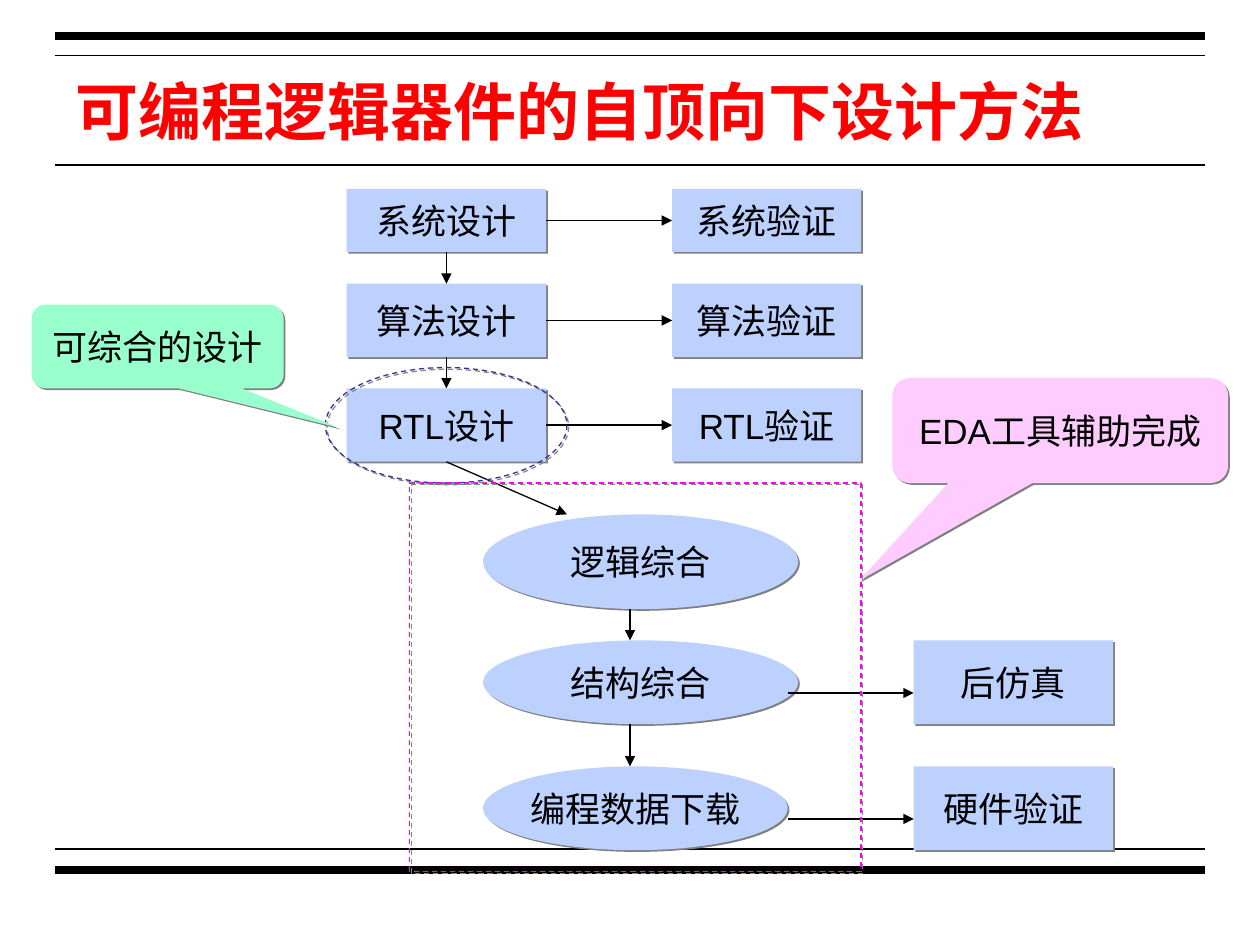
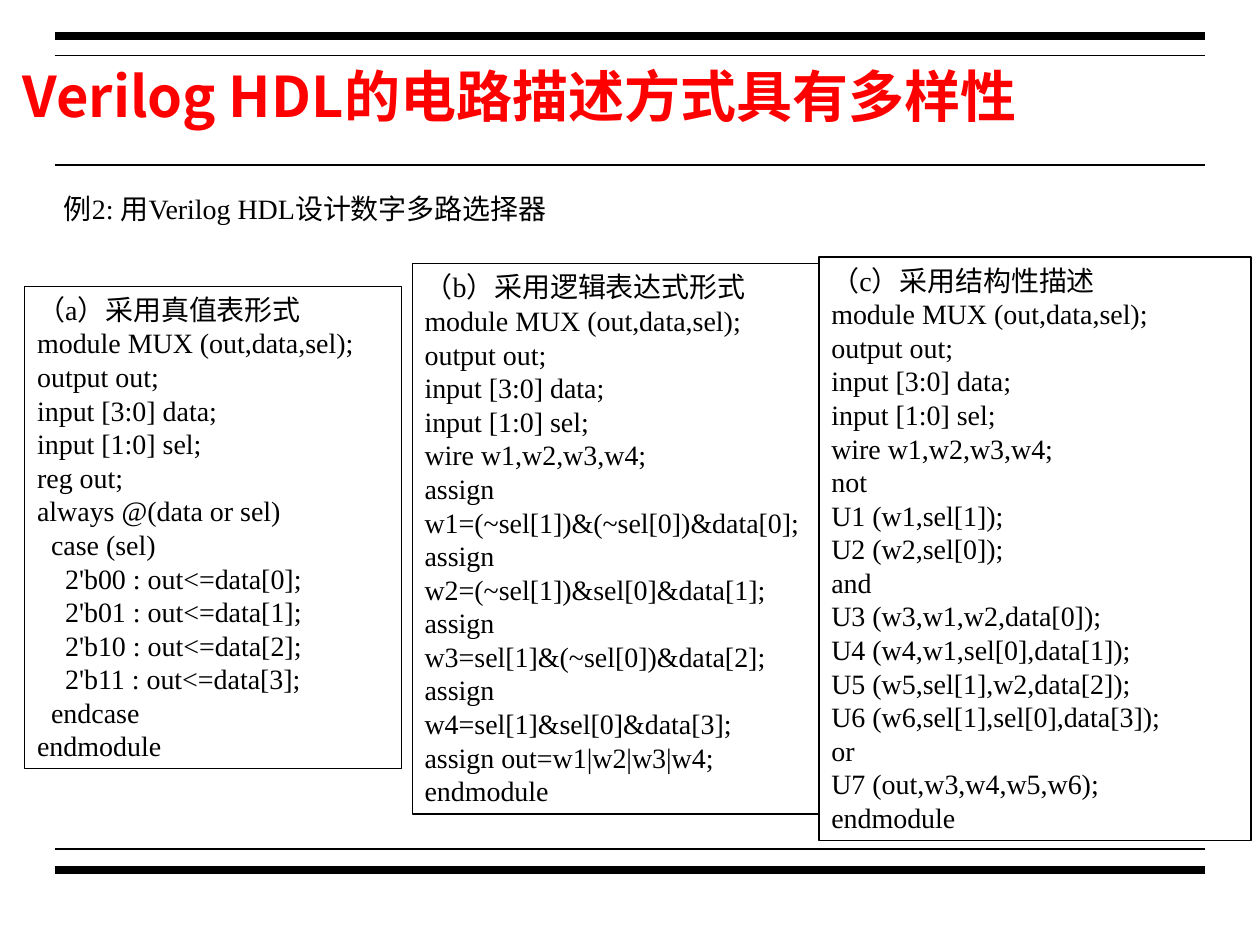
from dataclasses import dataclass

from lxml import etree
from pptx import Presentation
from pptx.dml.color import RGBColor
from pptx.enum.dml import MSO_LINE
from pptx.enum.lang import MSO_LANGUAGE_ID
from pptx.enum.shapes import MSO_CONNECTOR, MSO_SHAPE
from pptx.enum.text import MSO_ANCHOR, MSO_AUTO_SIZE, PP_ALIGN
from pptx.oxml.ns import qn
from pptx.util import Cm, Pt

RECT, OVAL = MSO_SHAPE.RECTANGLE, MSO_SHAPE.OVAL
CALL = MSO_SHAPE.ROUNDED_RECTANGULAR_CALLOUT
STRAIGHT, DASH = MSO_CONNECTOR.STRAIGHT, MSO_LINE.DASH
LEFT, MID = PP_ALIGN.LEFT, PP_ALIGN.CENTER
MIDDLE, FIXED = MSO_ANCHOR.MIDDLE, MSO_AUTO_SIZE.NONE
CHINESE = MSO_LANGUAGE_ID.SIMPLIFIED_CHINESE
TOP, SIDE, FOOT, END = range(4)  # connection sites of a rectangle


@dataclass(frozen=True)
class Theme:
    ink: str = "000000"
    title: str = "FF0000"
    box: str = "BDD1FF"
    pink: str = "FFCCFF"
    mint: str = "99FFCC"
    frame: str = "FF00FF"
    ring: str = "333399"
    shade: str = "808080"
    pale: str = "868686"
    sans: str = "Arial"
    serif: str = "Times New Roman"
    han: str = "Noto Sans CJK JP"
    head: float = 36
    sub: float = 32
    label: float = 20
    code: float = 16
    lead: float = 19.2
    thin: float = 0.75
    rule: float = 1
    band: float = 4.5


def rgb(code):
    return RGBColor.from_string(code)


def write(frame, text, *, size, font, color=Theme.ink, bold=False,
          align=LEFT, wrap=True, lead=None):
    """Fill a text frame, one paragraph for each line of text."""
    frame.auto_size = FIXED
    frame.word_wrap = wrap
    frame.vertical_anchor = MIDDLE
    for i, row in enumerate(text.split("\n")):
        para = frame.add_paragraph() if i else frame.paragraphs[0]
        para.alignment = align
        if lead:
            para.line_spacing = Pt(lead)
        run = para.add_run()
        run.text = row
        face = run.font
        face.size, face.name, face.bold = Pt(size), font, bold
        face.color.rgb = rgb(color)
        face.language_id = CHINESE
        east = etree.SubElement(run._r.get_or_add_rPr(), qn("a:ea"))
        east.set("typeface", Theme.han)


class Deck:
    def __init__(self, look):
        self.look = look
        self.file = Presentation()
        self.file.slide_width, self.file.slide_height = Cm(25.4), Cm(19.05)
        self.slide = None

    def page(self, title, area, size, font):
        """Start a slide with its bands and title."""
        self.slide = self.file.slides.add_slide(self.file.slide_layouts[5])
        look = self.look
        for y, width in ((0.72, look.band), (1.12, look.rule), (3.33, look.rule),
                         (17.53, look.band), (17.12, look.rule)):
            self.line((1.1, y), (24.3, y), width=width)
        head = self.slide.shapes.title
        head.left, head.top, head.width, head.height = map(Cm, area)
        write(head.text_frame, title, size=size, font=font,
              color=look.title, bold=True)

    def line(self, start, stop, width=Theme.thin, arrow=False):
        link = self.slide.shapes.add_connector(
            STRAIGHT, *map(Cm, start), *map(Cm, stop))
        link.line.color.rgb = rgb(self.look.ink)
        link.line.width = Pt(width)
        props = link._element.spPr
        if arrow:
            tip = etree.SubElement(props.find(qn("a:ln")), qn("a:tailEnd"))
            tip.set("type", "triangle")
        etree.SubElement(props, qn("a:effectLst"))
        return link

    def join(self, one, out, two, into):
        """Draw an arrow from a side of one box to a side of another."""
        link = self.line((0, 0), (1, 1), arrow=True)
        link.begin_connect(one, out)
        link.end_connect(two, into)

    def shape(self, kind, area, fill=None, line=None, dash=None, shade=None):
        item = self.slide.shapes.add_shape(kind, *map(Cm, area))
        item.shadow.inherit = False
        if fill:
            item.fill.solid()
            item.fill.fore_color.rgb = rgb(fill)
        else:
            item.fill.background()
        if line:
            item.line.color.rgb = rgb(line)
            item.line.width = Pt(self.look.thin)
            item.line.dash_style = dash
        else:
            item.line.fill.background()
        if shade:
            self.shadow(item, shade)
        return item

    def shadow(self, item, color):
        """Add a hard shadow to the lower right."""
        effect = item._element.spPr.find(qn("a:effectLst"))
        outer = etree.SubElement(effect, qn("a:outerShdw"), dist=str(Pt(1.4)),
                                 dir="2700000", algn="ctr", rotWithShape="0")
        etree.SubElement(outer, qn("a:srgbClr"), val=color)

    def node(self, kind, area, text, fill=Theme.box, wrap=False):
        look = self.look
        item = self.shape(kind, area, fill=fill, shade=look.shade)
        write(item.text_frame, text, size=look.label, font=look.sans,
              align=MID, wrap=wrap)
        return item

    def call(self, area, text, fill, tip):
        item = self.node(CALL, area, text, fill=fill, wrap=True)
        for i, part in enumerate((*tip, 0.17)):
            item.adjustments[i] = part

    def note(self, area, text):
        look = self.look
        box = self.slide.shapes.add_textbox(*map(Cm, area))
        write(box.text_frame, text, size=look.code, font=look.serif, wrap=False)

    def code(self, area, text):
        look = self.look
        box = self.shape(RECT, area, line=look.ink)
        write(box.text_frame, text, size=look.code, font=look.serif,
              lead=look.lead)


def flow(deck):
    look = deck.look
    deck.page("可编程逻辑器件的自顶向下设计方法", (1.27, 1.12, 22.86, 2.21),
              look.head, look.sans)

    # Design steps, each with its check
    steps = []
    for name, y, high in (("系统", 3.81, 1.27), ("算法", 5.72, 1.48),
                          ("RTL", 7.83, 1.48)):
        step = deck.node(RECT, (6.99, y, 4.02, high), name + "设计")
        check = deck.node(RECT, (13.55, y, 3.81, high), name + "验证")
        deck.join(step, END, check, SIDE)
        if steps:
            deck.join(steps[-1], FOOT, step, TOP)
        steps.append(step)

    # Steps done by tools
    tools = (("逻辑综合", 10.37, 6.35, 1.91, None),
             ("结构综合", 12.91, 6.35, 1.69, "后仿真"),
             ("编程数据下载", 15.45, 6.14, 1.69, "硬件验证"))
    foot = None
    for name, y, wide, high, check in tools:
        deck.node(OVAL, (9.74, y, wide, high), name)
        if foot:
            deck.line((12.7, foot), (12.7, y), arrow=True)
        foot = y + high
        if check:
            deck.node(RECT, (18.42, y, 4.02, high), check)
            deck.line((15.88, y + 1.06), (18.42, y + 1.06), arrow=True)
    down = deck.line((9, 9.31), (11.43, 10.37), arrow=True)
    down.begin_connect(steps[-1], FOOT)

    # Dashed marks and their callouts
    deck.call((17.99, 7.62, 6.77, 2.12), "EDA工具辅助完成", look.pink, (-0.6, 1.43))
    deck.shape(RECT, (8.26, 9.74, 9.1, 7.83), line=look.frame, dash=DASH,
               shade=look.pale)
    deck.shape(OVAL, (6.56, 7.41, 4.87, 2.33), line=look.ring, dash=DASH,
               shade=look.pale)
    deck.call((0.64, 6.14, 5.08, 1.69), "可综合的设计", look.mint, (0.72, 0.97))


# Code shown on the second slide
PORTS = """module MUX (out,data,sel);
output out;
input [3:0] data;
input [1:0] sel;
"""
WIRES = PORTS + "wire w1,w2,w3,w4;\n"

TABLE = "（a）采用真值表形式\n" + PORTS + """reg out;
always @(data or sel)
  case (sel)
    2'b00 : out<=data[0];
    2'b01 : out<=data[1];
    2'b10 : out<=data[2];
    2'b11 : out<=data[3];
  endcase
endmodule"""

LOGIC = "（b）采用逻辑表达式形式\n" + WIRES + """assign w1=(~sel[1])&(~sel[0])&data[0];
assign w2=(~sel[1])&sel[0]&data[1];
assign w3=sel[1]&(~sel[0])&data[2];
assign w4=sel[1]&sel[0]&data[3];
assign out=w1|w2|w3|w4;
endmodule"""

GATES = "（c）采用结构性描述\n" + WIRES + """not
U1 (w1,sel[1]);
U2 (w2,sel[0]);
and
U3 (w3,w1,w2,data[0]);
U4 (w4,w1,sel[0],data[1]);
U5 (w5,sel[1],w2,data[2]);
U6 (w6,sel[1],sel[0],data[3]);
or
U7 (out,w3,w4,w5,w6);
endmodule"""


def styles(deck):
    look = deck.look
    deck.page("Verilog HDL的电路描述方式具有多样性", (0.2, 0.64, 23.7, 2.54),
              look.sub, look.han)
    deck.note((1.04, 3.73, 10.82, 0.94), "例2: 用Verilog HDL设计数字多路选择器")

    # Three ways to describe one circuit
    deck.code((0.5, 5.77, 7.6, 9.73), TABLE)
    deck.code((8.31, 5.31, 8.2, 11.1), LOGIC)
    deck.code((16.51, 5.18, 8.71, 11.76), GATES)


def main():
    deck = Deck(Theme())
    flow(deck)
    styles(deck)
    deck.file.save("out.pptx")


if __name__ == "__main__":
    main()
